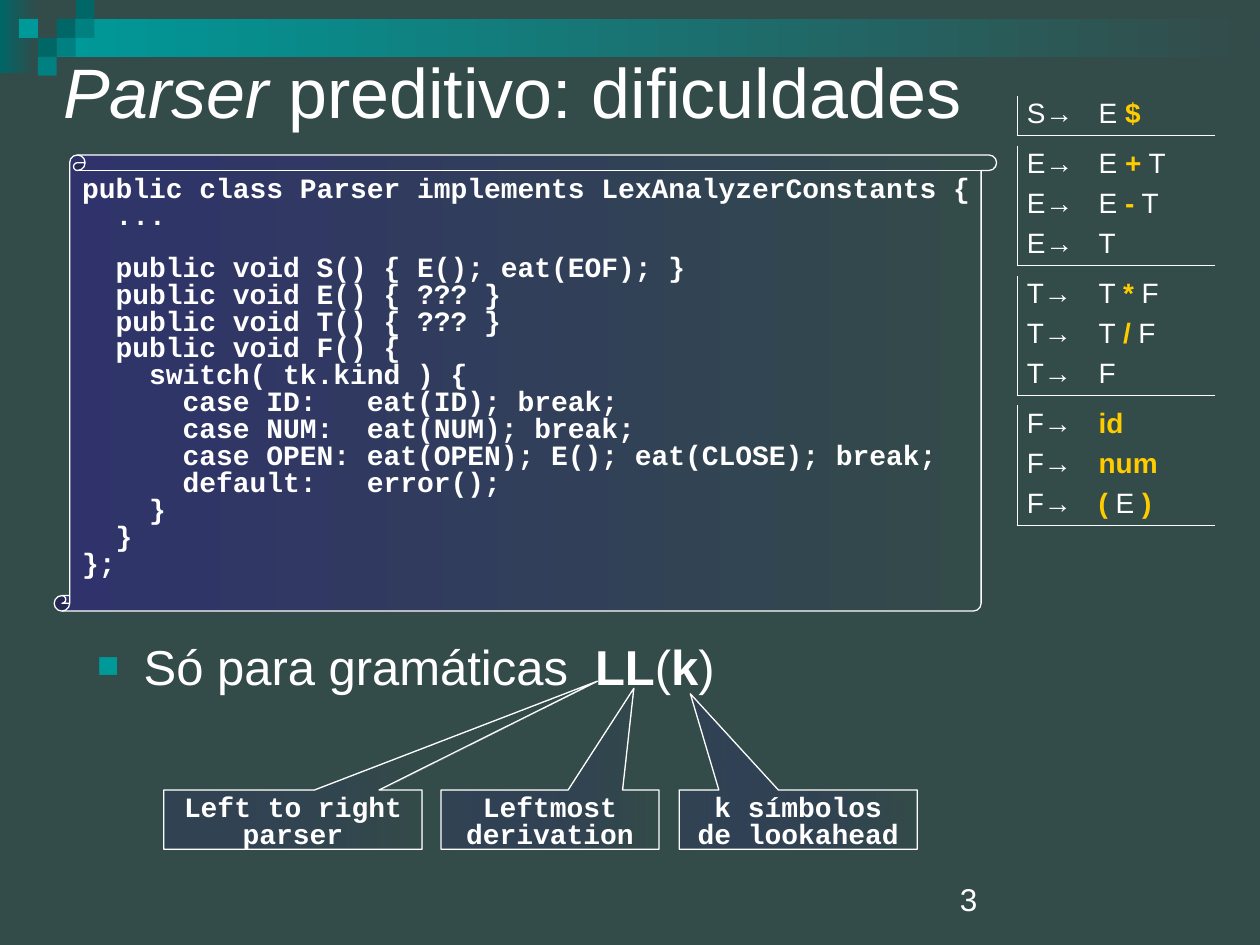
from lxml.etree import SubElement
from pptx import Presentation
from pptx.dml.color import RGBColor
from pptx.enum.shapes import MSO_SHAPE
from pptx.enum.text import MSO_ANCHOR, MSO_AUTO_SIZE, PP_ALIGN
from pptx.oxml import parse_xml
from pptx.oxml.ns import nsdecls, qn
from pptx.util import Inches, Pt

BACKGROUND = RGBColor(0x33, 0x4B, 0x49)
WHITE = RGBColor(0xFF, 0xFF, 0xFF)
YELLOW = RGBColor(0xFF, 0xCC, 0x00)
INDIGO = RGBColor(0x2F, 0x32, 0x6B)
DARK_TEAL = RGBColor(0x00, 0x66, 0x66)
MID_TEAL = RGBColor(0x00, 0x80, 0x80)
TEAL = RGBColor(0x00, 0x99, 0x99)

SQUARE = 0.15
SQUARES = [  # column, row, colour
    (3, 1, DARK_TEAL), (4, 0, DARK_TEAL), (4, 1, MID_TEAL), (2, 2, DARK_TEAL),
    (1, 1, TEAL), (3, 2, MID_TEAL), (2, 3, MID_TEAL),
]
CODE = """public class Parser implements LexAnalyzerConstants {
  ...

  public void S() { E(); eat(EOF); }
  public void E() { ??? }
  public void T() { ??? }
  public void F() {
    switch( tk.kind ) {
      case ID:   eat(ID); break;
      case NUM:  eat(NUM); break;
      case OPEN: eat(OPEN); E(); eat(CLOSE); break;
      default:   error();
    }
  }
};"""
CODE_LINE = Pt(14.5)
GRAMMAR = [  # nonterminal, productions split into symbols
    ("S", [["E ", "$"]]),
    ("E", [["E ", "+", " T"], ["E ", "-", " T"], ["T"]]),
    ("T", [["T ", "*", " F"], ["T ", "/", " F"], ["F"]]),
    ("F", [["id"], ["num"], ["(", " E ", ")"]]),
]
NONTERMINALS = [name for name, _ in GRAMMAR]
CALLOUTS = [  # left, width, pointer adjustments, text
    (1.3, 2.05, (1.179, -2.338), "Left to right parser"),
    (3.5, 1.73, (0.385, -2.217), "Leftmost derivation"),
    (5.39, 1.89, (-0.453, -2.125), "k símbolos de lookahead"),
]


def add_run(p, text, size=16, font="Arial", color=WHITE, bold=False, italic=False):
    r = p.add_run()
    r.text = text
    r.font.size = Pt(size)
    r.font.name = font
    r.font.color.rgb = color
    r.font.bold = bold
    r.font.italic = italic


def place(sp, left, top, width, height):
    sp.left, sp.top = Inches(left), Inches(top)
    sp.width, sp.height = Inches(width), Inches(height)


def add_panel(slide, kind, box, color, fade=False, alpha=None, outlined=False):
    """Preset shape, solid or fading rightwards into the background colour."""
    sp = slide.shapes.add_shape(kind, *map(Inches, box))
    sp.shadow.inherit = False
    if fade:
        sp.fill.gradient()
        sp.fill.gradient_angle = 0
        start, end = sp.fill.gradient_stops
        start.color.rgb, end.color.rgb = color, BACKGROUND
        if alpha:
            srgb = next(sp.fill._xPr.iter(qn("a:srgbClr")))
            SubElement(srgb, qn("a:alpha")).set("val", str(alpha * 1000))
    else:
        sp.fill.solid()
        sp.fill.fore_color.rgb = color
    if outlined:
        sp.line.color.rgb = WHITE
        sp.line.width = Pt(0.75)
    else:
        sp.line.fill.background()
    sp.text_frame.vertical_anchor = MSO_ANCHOR.TOP
    return sp


def add_decoration(slide):
    rect = MSO_SHAPE.RECTANGLE
    add_panel(slide, rect, (0, 0, 0.31, 0.58), DARK_TEAL, fade=True)
    add_panel(slide, rect, (0.45, 0.15, 9.54, 0.3), TEAL, fade=True)
    for col, row, color in SQUARES:
        box = (col * SQUARE, row * SQUARE, SQUARE, SQUARE)
        add_panel(slide, rect, box, color)


def fill_title(sp):
    place(sp, 0.5, 0.28, 9, 0.87)
    tf = sp.text_frame
    tf.auto_size = MSO_AUTO_SIZE.NONE
    tf.vertical_anchor = MSO_ANCHOR.MIDDLE
    tf.margin_left = tf.margin_right = 0
    p = tf.paragraphs[0]
    p.alignment = PP_ALIGN.LEFT
    add_run(p, "Parser", size=40, italic=True)
    add_run(p, " preditivo: dificuldades", size=40)


def fill_body(sp):
    place(sp, 0.67, 5.09, 5.91, 0.71)
    tf = sp.text_frame
    tf.auto_size = MSO_AUTO_SIZE.NONE
    p = tf.paragraphs[0]
    p.line_spacing = 0.8
    p.space_before = Pt(7)
    pPr = p._p.get_or_add_pPr()
    pPr.set("marL", str(Inches(0.37)))
    pPr.set("indent", str(-Inches(0.37)))
    for xml in (f'<a:buClr {{}}><a:srgbClr val="{TEAL}"/></a:buClr>',
                '<a:buSzPct {} val="75000"/>',
                '<a:buFont {} typeface="Arial"/>',
                '<a:buChar {} char="■"/>'):
        pPr.append(parse_xml(xml.format(nsdecls("a"))))
    for text, bold in (("Só para gramáticas  ", False), ("LL", True),
                       ("(", False), ("k", True), (")", False)):
        add_run(p, text, size=28, bold=bold)


def add_code(slide):
    sp = add_panel(slide, MSO_SHAPE.VERTICAL_SCROLL, (0.43, 1.23, 7.48, 3.62),
                   INDIGO, fade=True, outlined=True)
    sp.adjustments[0] = 0.034
    tf = sp.text_frame
    tf.word_wrap = False
    p, gap = tf.paragraphs[0], 0
    for i, line in enumerate(CODE.split("\n")):
        if not line:
            gap = CODE_LINE
            continue
        if i:
            p = tf.add_paragraph()
        p.alignment = PP_ALIGN.LEFT
        p.line_spacing = 0.8
        p.space_before, gap = gap, 0
        add_run(p, line, font="Courier New", bold=True)


def add_border(cell, side):
    tcPr = cell._tc.get_or_add_tcPr()
    ln = parse_xml(f'<a:{side} {nsdecls("a")} w="{Pt(0.25)}"><a:solidFill>'
                   f'<a:srgbClr val="{WHITE}"/></a:solidFill></a:{side}>')
    tcPr.insert(0, ln)


def fill_cell(cell, symbols):
    cell.fill.background()
    cell.vertical_anchor = MSO_ANCHOR.MIDDLE
    p = cell.text_frame.paragraphs[0]
    p.line_spacing = 0.87
    p.space_before = Pt(4)
    for symbol in symbols:
        terminal = symbol.strip(" →") not in NONTERMINALS
        add_run(p, symbol, color=YELLOW if terminal else WHITE, bold=terminal)


def add_grammar(slide):
    top, row_height, gap = 0.76, 0.95 / 3, 0.08
    for name, productions in GRAMMAR:
        n = len(productions)
        frame = slide.shapes.add_table(n, 2, Inches(8.07), Inches(top),
                                       Inches(1.57), Inches(n * row_height))
        table = frame.table
        table.first_row = table.horz_banding = False
        style = table._tbl.tblPr.find(qn("a:tableStyleId"))
        style.text = "{2D5ABB26-0587-4C30-8999-92F81FD0307C}"
        table.columns[0].width, table.columns[1].width = Inches(0.55), Inches(1.02)
        for i, symbols in enumerate(productions):
            left, right = table.cell(i, 0), table.cell(i, 1)
            left.margin_left = Inches(0.08)
            fill_cell(left, [name + "→"])
            fill_cell(right, symbols)
            if i == n - 1:
                add_border(left, "lnB")
                add_border(right, "lnB")
            add_border(left, "lnL")
        top += n * row_height + gap


def add_callout(slide, left, width, pointer, text):
    sp = add_panel(slide, MSO_SHAPE.RECTANGULAR_CALLOUT, (left, 6.27, width, 0.47),
                   INDIGO, fade=True, alpha=30, outlined=True)
    sp.adjustments[0], sp.adjustments[1] = pointer
    sp.text_frame.word_wrap = True
    p = sp.text_frame.paragraphs[0]
    p.alignment = PP_ALIGN.CENTER
    p.line_spacing = 0.8
    add_run(p, text, font="Courier New", bold=True)


def add_page_number(slide):
    sp = slide.shapes.add_textbox(*map(Inches, (7.52, 6.83, 1.98, 0.5)))
    tf = sp.text_frame
    tf.word_wrap = True
    tf.vertical_anchor = MSO_ANCHOR.BOTTOM
    add_run(tf.paragraphs[0], "3", size=18)


def main():
    prs = Presentation()
    prs.slide_width, prs.slide_height = Inches(10), Inches(7.5)
    slide = prs.slides.add_slide(prs.slide_layouts[1])
    slide.background.fill.solid()
    slide.background.fill.fore_color.rgb = BACKGROUND
    add_decoration(slide)
    fill_title(slide.shapes.title)
    fill_body(slide.placeholders[1])
    add_code(slide)
    add_grammar(slide)
    for callout in CALLOUTS:
        add_callout(slide, *callout)
    add_page_number(slide)
    prs.save("out.pptx")


if __name__ == "__main__":
    main()
